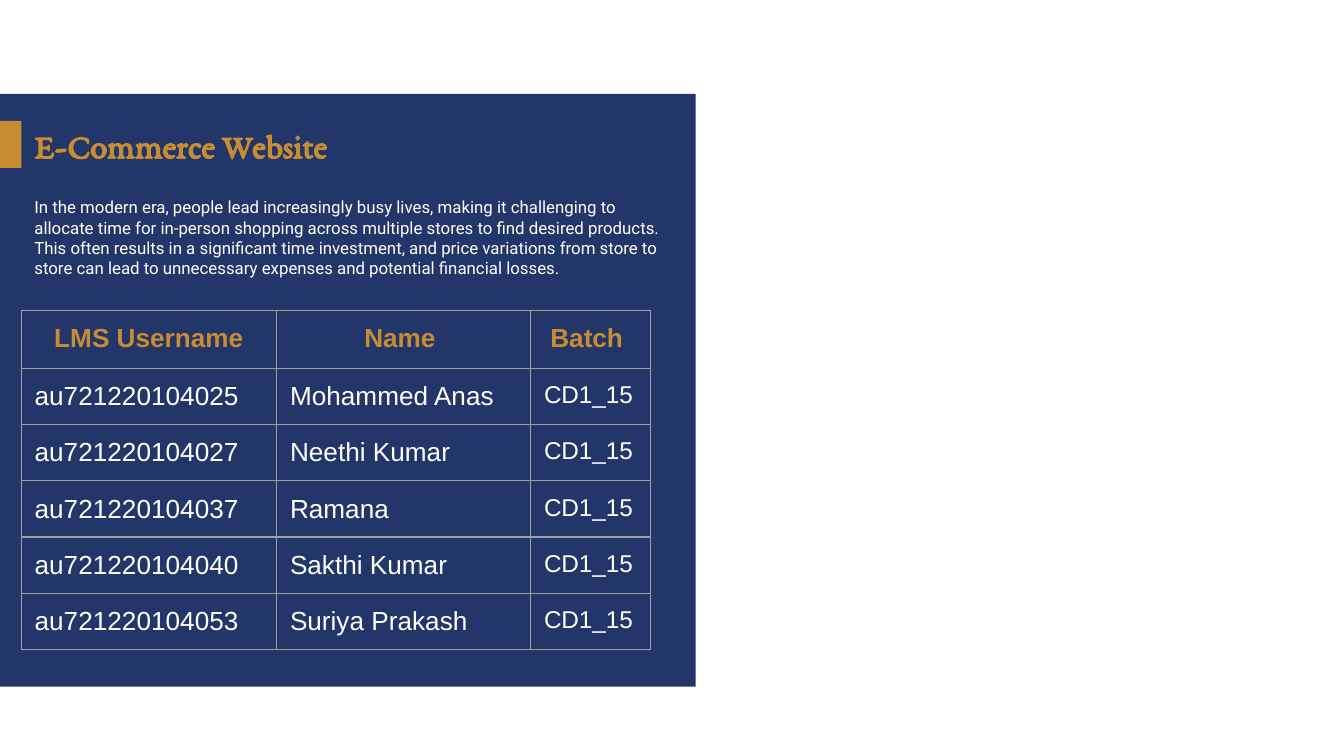
import dataclasses
import typing

import lxml.etree
import pptx
import pptx.dml.color
import pptx.enum.shapes
import pptx.enum.text
import pptx.oxml.ns
import pptx.util

WIDE = 10  # slide width in inches
HIGH = WIDE * 9 / 16
HUES = {"navy": "223669", "gold": "C88C32", "white": "FFFFFF", "grey": "9E9E9E"}
ALIGN = pptx.enum.text.PP_ALIGN
ANCHOR = pptx.enum.text.MSO_ANCHOR


@dataclasses.dataclass
class Box:
    """A place in percent of the slide's width and height."""
    left: float
    top: float
    width: float
    height: float

    def place(self) -> tuple:
        return (across(self.left), down(self.top),
                across(self.width), down(self.height))


@dataclasses.dataclass
class Style:
    font: str
    size: float
    hue: str
    bold: bool = False
    align: typing.Any = ALIGN.LEFT


@dataclasses.dataclass
class Member:
    user: str
    name: str
    batch: str = "CD1_15"


PANEL = Box(0, 12.43, 51.77, 78.4)
TAB = Box(0, 16, 1.6, 6.22)
TITLE = Box(1.58, 15.75, 37.4, 6.76)
BODY = Box(1.58, 25.2, 49.7, 59)
COLS = [19, 18.9, 8.9]
ROWS = [7.67] + [7.45] * 5
GRID = Box(1.58, 41.04, sum(COLS), sum(ROWS))

HEAD = Style("Arial", 14, "gold", True, ALIGN.CENTER)
CELL = Style("Arial", 14, "white")
BATCH = Style("Arial", 13, "white")

INTRO = (
    "In the modern era, people lead increasingly busy lives, making it "
    "challenging to allocate time for in-person shopping across multiple "
    "stores to find desired products. This often results in a significant "
    "time investment, and price variations from store to store can lead to "
    "unnecessary expenses and potential financial losses."
)
LABELS = ["LMS Username", "Name ", "Batch "]
TEAM = [
    Member("au721220104025", "Mohammed Anas"),
    Member("au721220104027", "Neethi Kumar"),
    Member("au721220104037", "Ramana"),
    Member("au721220104040", "Sakthi Kumar"),
    Member("au721220104053", "Suriya Prakash"),
]


def across(share: float) -> int:
    return pptx.util.Inches(WIDE * share / 100)


def down(share: float) -> int:
    return pptx.util.Inches(HIGH * share / 100)


def color(hue: str) -> pptx.dml.color.RGBColor:
    return pptx.dml.color.RGBColor.from_string(HUES[hue])


def apply(item: typing.Any, values: dict) -> None:
    for key, value in values.items():
        setattr(item, key, value)


def write(frame: typing.Any, text: str, style: Style) -> None:
    frame.text = text
    para = frame.paragraphs[0]
    para.alignment = style.align
    font = para.runs[0].font
    apply(font, {"name": style.font, "size": pptx.util.Pt(style.size),
                 "bold": style.bold})
    font.color.rgb = color(style.hue)


def set_frame(frame: typing.Any, anchor: typing.Any) -> None:
    apply(frame, {
        "word_wrap": True,
        "auto_size": pptx.enum.text.MSO_AUTO_SIZE.NONE,
        "vertical_anchor": anchor,
        "margin_left": pptx.util.Inches(0.1),
        "margin_right": pptx.util.Inches(0.1),
        "margin_top": pptx.util.Inches(0.05),
        "margin_bottom": pptx.util.Inches(0.05),
    })


def add_block(slide: typing.Any, box: Box, hue: str) -> typing.Any:
    block = slide.shapes.add_shape(
        pptx.enum.shapes.MSO_SHAPE.RECTANGLE, *box.place())
    block.shadow.inherit = False
    block.fill.solid()
    block.fill.fore_color.rgb = color(hue)
    block.line.fill.background()
    return block


def add_edges(cell: typing.Any) -> None:
    props = cell._tc.get_or_add_tcPr()
    tag = pptx.oxml.ns.qn
    for spot, side in enumerate(("a:lnL", "a:lnR", "a:lnT", "a:lnB")):
        edge = lxml.etree.Element(tag(side), w=str(pptx.util.Pt(0.75)))
        fill = lxml.etree.SubElement(edge, tag("a:solidFill"))
        lxml.etree.SubElement(fill, tag("a:srgbClr"), val=HUES["grey"])
        props.insert(spot, edge)


def fill_cell(cell: typing.Any, text: str, style: Style) -> None:
    gap = pptx.util.Inches(0.1)
    apply(cell, {"margin_left": gap, "margin_right": gap, "margin_top": gap,
                 "margin_bottom": gap, "vertical_anchor": ANCHOR.TOP})
    write(cell.text_frame, text, style)
    cell.fill.background()
    add_edges(cell)


def add_team(slide: typing.Any) -> None:
    table = slide.shapes.add_table(len(ROWS), len(COLS), *GRID.place()).table
    apply(table, {"first_row": False, "horz_banding": False})
    for col, share in zip(table.columns, COLS):
        col.width = across(share)
    for row, share in zip(table.rows, ROWS):
        row.height = down(share)
    lines = [(LABELS, [HEAD] * 3)]
    lines += [(dataclasses.astuple(one), [CELL, CELL, BATCH]) for one in TEAM]
    for row, (texts, styles) in zip(table.rows, lines):
        for cell, text, style in zip(row.cells, texts, styles):
            fill_cell(cell, text, style)


def main() -> None:
    deck = pptx.Presentation()
    apply(deck, {"slide_width": across(100), "slide_height": down(100)})
    slide = deck.slides.add_slide(deck.slide_layouts.get_by_name("Title Only"))

    # Panel and tab go behind the title
    title = slide.shapes.title
    for box, hue in ((PANEL, "navy"), (TAB, "gold")):
        title._element.addprevious(add_block(slide, box, hue)._element)

    # Title
    apply(title, dict(zip(("left", "top", "width", "height"), TITLE.place())))
    set_frame(title.text_frame, ANCHOR.MIDDLE)
    write(title.text_frame, "E-Commerce Website",
          Style("EB Garamond", 18.3, "gold", True))

    # Introduction
    body = slide.shapes.add_textbox(*BODY.place())
    set_frame(body.text_frame, ANCHOR.TOP)
    write(body.text_frame, INTRO, Style("Roboto", 9, "white"))

    # Team table
    add_team(slide)
    deck.save("out.pptx")


if __name__ == "__main__":
    main()
